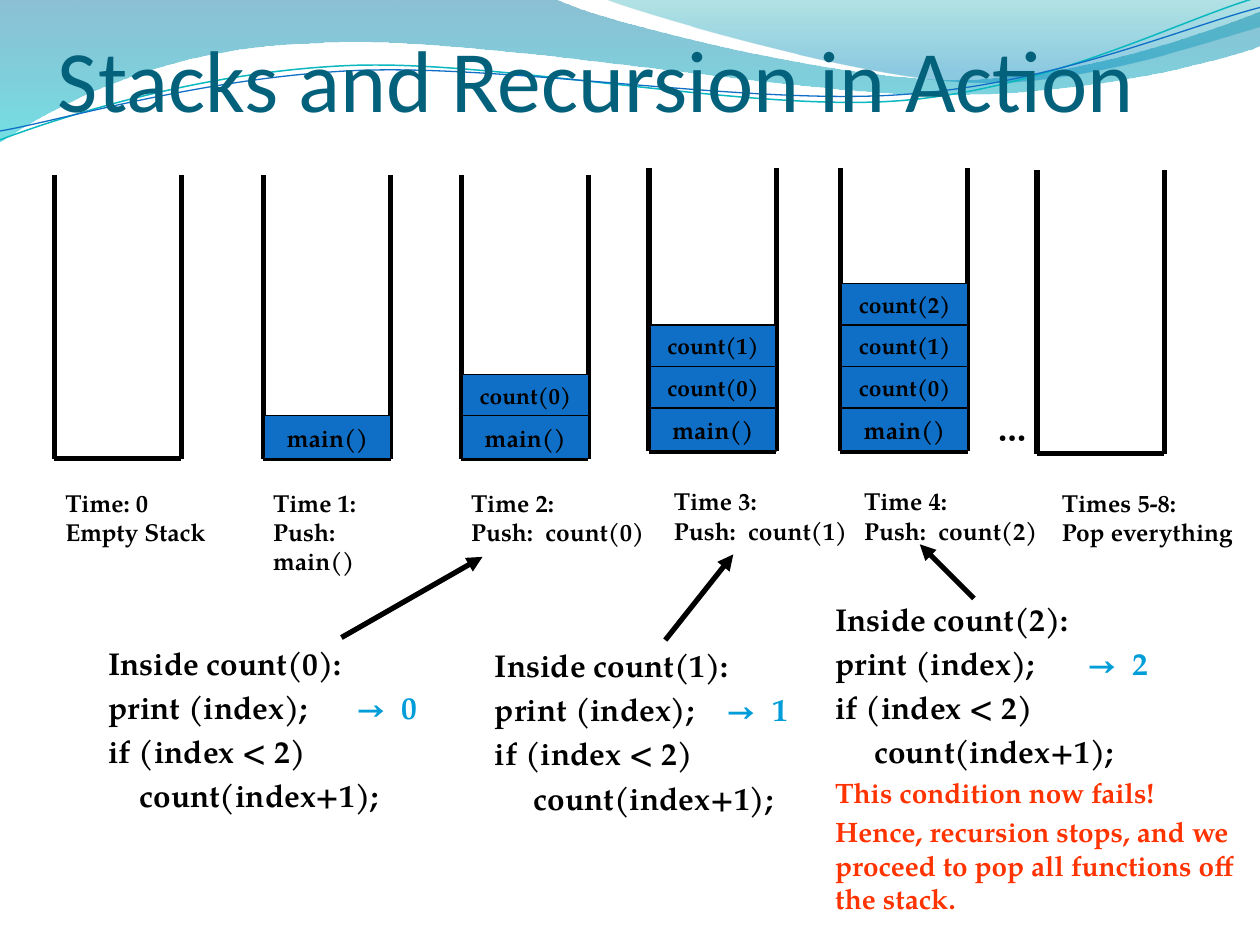
from math import cos, radians, sin

from lxml.etree import SubElement
from pptx import Presentation
from pptx.dml.color import RGBColor
from pptx.enum.shapes import MSO_CONNECTOR, MSO_SHAPE
from pptx.enum.text import MSO_ANCHOR, MSO_AUTO_SIZE, PP_ALIGN
from pptx.oxml.ns import qn
from pptx.util import Inches, Pt

BODY_FONT = "TeX Gyre Pagella"
BLACK, BLUE, CYAN, RED = "000000", "0F6FC6", "009DD9", "FF3300"
BIN_WIDTH, BIN_HEIGHT = 1.01, 2.25
MAIN_HEIGHT, FRAME_HEIGHT = 0.34, 0.33
RIPPLE_TILT = -2.7

# Each wave: a start point, then straight ends (x, y) or Bezier triples.
BANDS = [
    ([(0, 0), (4.4, -0.01),
      ((4.76, 0.17), (6.64, 0.63), (7.58, 0.63)),
      ((8.53, 0.63), (9.58, 0.26), (10, 0.09)), (10.01, 0.36),
      ((9.83, 0.44), (8.7, 0.76), (7.46, 0.75)),
      ((6.22, 0.75), (3.82, 0.28), (2.57, 0.34)),
      ((1.29, 0.36), (0.46, 0.83), (-0.01, 1.13)), (0, 0)],
     [(0, "0074A1", 45), (1, "00C6CF", 55)]),
    ([(4.79, -0.01),
      ((5.09, 0.11), (6.82, 0.62), (7.69, 0.65)),
      ((8.56, 0.69), (9.61, 0.32), (10, 0.21)), (10, 0), (4.79, -0.01)],
     [(0, "00A1A9", 30), (0.8, "008BBF", 45)]),
]
RIPPLES = [
    ([(0, 1.11), ((0.48, 0.93), (1.58, 0.57), (2.77, 0.52)),
      ((3.95, 0.47), (5.93, 0.89), (7.13, 0.8)),
      ((8.33, 0.71), (9.38, 0.15), (9.98, -0.02))],
     (4.99, 0.57), "0AB8BF", 0.85),
    ([(0, 1.04), ((0.47, 0.96), (1.64, 0.61), (2.83, 0.56)),
      ((4.03, 0.51), (5.97, 0.84), (7.17, 0.75)),
      ((8.36, 0.67), (9.41, 0.21), (10, 0.06))],
     (5, 0.59), BLUE, 0.75),
]

# Bin left, bin base, calls on the stack, label left, top, width, label lines
STACKS = [
    (0.43, 3.64, 0, 0.42, 3.82, 1.36, ["Time: 0", "Empty Stack"]),
    (2.09, 3.64, 1, 2.07, 3.82, 1.4, ["Time 1:", "Push:  main()"]),
    (3.66, 3.64, 2, 3.64, 3.82, 1.61, ["Time 2:", "Push:  count(0)"]),
    (5.15, 3.58, 3, 5.25, 3.81, 1.61, ["Time 3:", "Push:  count(1)"]),
    (6.67, 3.58, 4, 6.76, 3.81, 1.61, ["Time 4:", "Push:  count(2)"]),
    (8.23, 3.6, 0, 8.33, 3.82, 1.6, ["Times 5-8:", "Pop everything"]),
]
CALLS = ["main()", "count(0)", "count(1)", "count(2)"]

# Box left, top, width, height, tab stop, indent, arrow start, arrow end
TRACES = [
    (0.76, 5.06, 3.04, 1.8, 1.97, 0.25, (2.71, 5.06), (3.83, 4.42)),
    (3.83, 5.08, 2.96, 1.8, 1.84, 0.31, (5.28, 5.08), (5.82, 4.4)),
    (6.53, 4.71, 3.53, 2.68, 2.0, 0.31, (7.73, 4.75), (7.3, 4.32)),
]
ENDING = ["This condition now fails!",
          "Hence, recursion stops, and we proceed to pop all functions "
          "off the stack."]


def rgb(value):
    return RGBColor.from_string(value)


def turn(point, center, degrees):
    angle = radians(degrees)
    x, y = point[0] - center[0], point[1] - center[1]
    return (center[0] + x * cos(angle) - y * sin(angle),
            center[1] + x * sin(angle) + y * cos(angle))


def add_wave(slide, segments, center=(0, 0), tilt=0):
    """Draw the outline untilted about center, then tilt the shape."""
    steps = [seg if len(seg) == 3 else (seg,) for seg in segments]
    points = [tuple(map(Inches, turn(point, center, -tilt)))
              for step in steps for point in step]
    builder = slide.shapes.build_freeform(*points[0])
    builder.add_line_segments(points[1:], close=False)
    wave = builder.convert_to_shape()
    wave.rotation = tilt
    wave.shadow.inherit = False
    sides = iter(list(wave._element.iter(qn("a:lnTo"))))
    for step in steps[1:]:
        first, *others = [next(sides) for _ in step]
        if others:
            first.tag = qn("a:cubicBezTo")
        for side in others:
            first.append(side[0])
            side.getparent().remove(side)
    return wave


def add_band(slide, segments, stops):
    band = add_wave(slide, segments)
    SubElement(next(band._element.iter(qn("a:path"))), qn("a:close"))
    band.line.fill.background()
    band.fill.gradient()
    band.fill.gradient_angle = 270
    for stop, (position, color, _) in zip(band.fill.gradient_stops, stops):
        stop.position = position
        stop.color.rgb = rgb(color)
    for tint, (_, _, opacity) in zip(band._element.spPr.iter(qn("a:srgbClr")), stops):
        SubElement(tint, qn("a:alpha"), val=str(opacity * 1000))


def add_ripple(slide, segments, center, color, width):
    ripple = add_wave(slide, segments, center, RIPPLE_TILT)
    ripple.fill.background()
    ripple.line.color.rgb = rgb(color)
    ripple.line.width = Pt(width)


def add_line(slide, start, end, arrow=False):
    line = slide.shapes.add_connector(
        MSO_CONNECTOR.STRAIGHT, *(Inches(value) for value in (*start, *end)))
    line.line.color.rgb = rgb(BLACK)
    line.line.width = Pt(3)
    if arrow:
        SubElement(line.line._get_or_add_ln(), qn("a:tailEnd"), type="triangle")
    SubElement(line._element.spPr, qn("a:effectLst"))


def add_run(paragraph, text, size, color=BLACK, font=BODY_FONT, bold=True):
    run = paragraph.add_run()
    run.text = text
    run.font.name = font
    run.font.size = Pt(size)
    run.font.bold = bold
    run.font.color.rgb = rgb(color)


def add_text(slide, left, top, width, height, lines, spacing=0):
    """Lines are lists of (text, size, color); spacing is a share of the size."""
    box = slide.shapes.add_textbox(*map(Inches, (left, top, width, height)))
    frame = box.text_frame
    frame.word_wrap = True
    for number, runs in enumerate(lines):
        paragraph = frame.add_paragraph() if number else frame.paragraphs[0]
        paragraph.space_before = Pt(runs[0][1] * spacing)
        for run in runs:
            add_run(paragraph, *run)
    return frame.paragraphs


def add_call(slide, left, top, height, name):
    call = slide.shapes.add_shape(
        MSO_SHAPE.RECTANGLE, *map(Inches, (left, top, 1, height)))
    call.shadow.inherit = False
    call.fill.solid()
    call.fill.fore_color.rgb = rgb(BLUE)
    call.line.color.rgb = rgb(BLACK)
    call.line.width = Pt(0.75)
    frame = call.text_frame
    frame.vertical_anchor = MSO_ANCHOR.MIDDLE
    frame.paragraphs[0].alignment = PP_ALIGN.CENTER
    add_run(frame.paragraphs[0], name, 14 if name == "main()" else 13)


def add_stack(slide, left, base, depth, label_left, label_top, label_width, label):
    right, top = left + BIN_WIDTH, base - BIN_HEIGHT
    corners = [(left, top), (left, base), (right, base), (right, top)]
    for start, end in zip(corners, corners[1:]):
        add_line(slide, start, end)
    for level, name in enumerate(CALLS[:depth]):
        add_call(slide, left + 0.01, base - MAIN_HEIGHT - level * FRAME_HEIGHT,
                 FRAME_HEIGHT if level else MAIN_HEIGHT, name)
    add_text(slide, label_left, label_top, label_width, 0.68,
             [[(line, 14, BLACK)] for line in label])


def add_trace(slide, index, left, top, width, height, tab, indent, start, end):
    lines = [[(f"Inside count({index}):", 18, BLACK)],
             [("print (index);\t", 18, BLACK), (f"→  {index}", 18, CYAN)],
             [("if (index < 2)", 18, BLACK)],
             [("count(index+1);", 18, BLACK)]]
    if index == 2:
        lines += [[(line, 16, RED)] for line in ENDING]
    paragraphs = add_text(slide, left, top, width, height, lines, spacing=0.2)
    tabs = SubElement(paragraphs[1]._p.get_or_add_pPr(), qn("a:tabLst"))
    SubElement(tabs, qn("a:tab"), pos=str(Inches(tab)), algn="l")
    paragraphs[3]._p.get_or_add_pPr().set("marL", str(Inches(indent)))
    add_line(slide, start, end, arrow=True)


def set_title(slide, text):
    title = slide.shapes.title
    title.left, title.top, title.width, title.height = map(
        Inches, (0.46, 0.1, 9.08, 0.93))
    frame = title.text_frame
    frame.auto_size = MSO_AUTO_SIZE.NONE
    frame.vertical_anchor = MSO_ANCHOR.BOTTOM
    frame.margin_left = frame.margin_right = frame.margin_bottom = 0
    frame.paragraphs[0].alignment = PP_ALIGN.LEFT
    add_run(frame.paragraphs[0], text, 50, "04617B", "Calibri", False)
    slide.shapes._spTree.append(title._element)  # in front of the waves


def main():
    deck = Presentation()
    deck.slide_width, deck.slide_height = Inches(10), Inches(7.5)
    slide = deck.slides.add_slide(deck.slide_layouts[5])
    for band in BANDS:
        add_band(slide, *band)
    for ripple in RIPPLES:
        add_ripple(slide, *ripple)
    set_title(slide, "Stacks and Recursion in Action")
    for stack in STACKS:
        add_stack(slide, *stack)
    add_text(slide, 7.82, 3.18, 0.48, 0.43, [[("…", 20, BLACK)]])
    for index, trace in enumerate(TRACES):
        add_trace(slide, index, *trace)
    deck.save("out.pptx")


if __name__ == "__main__":
    main()
